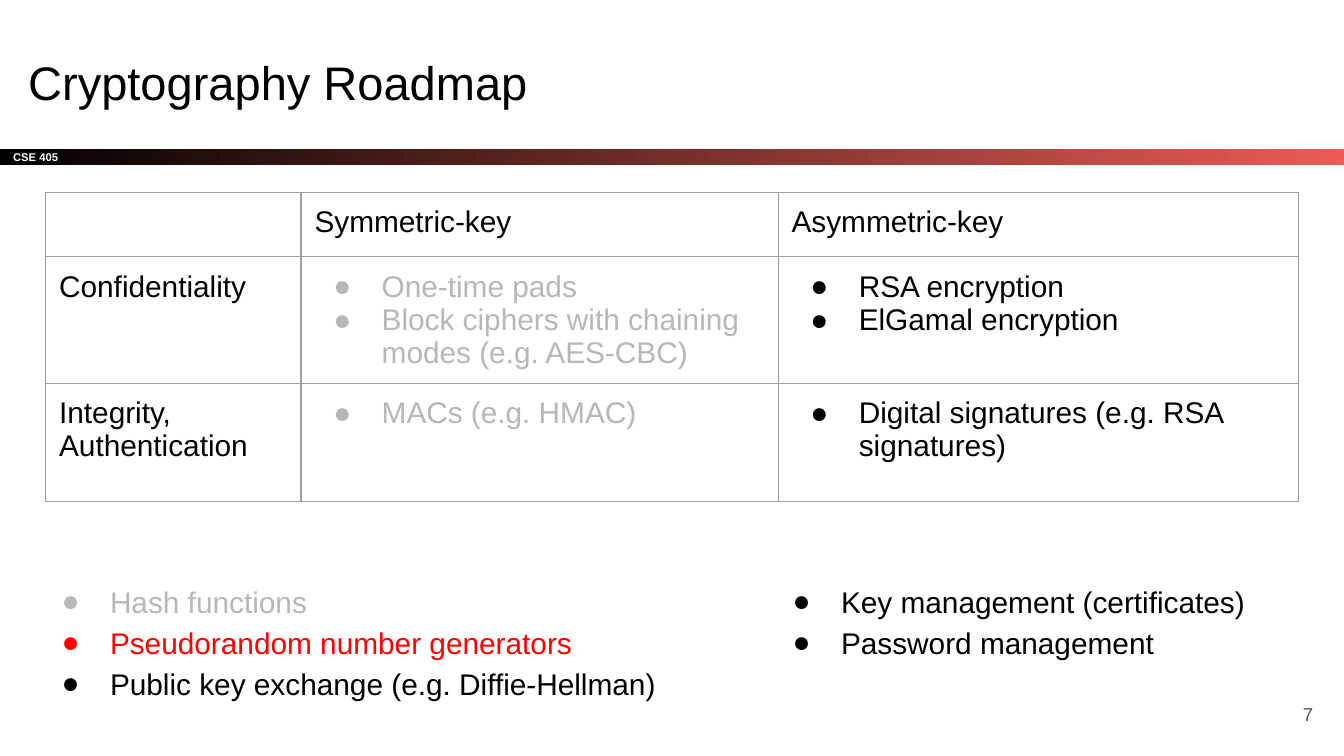
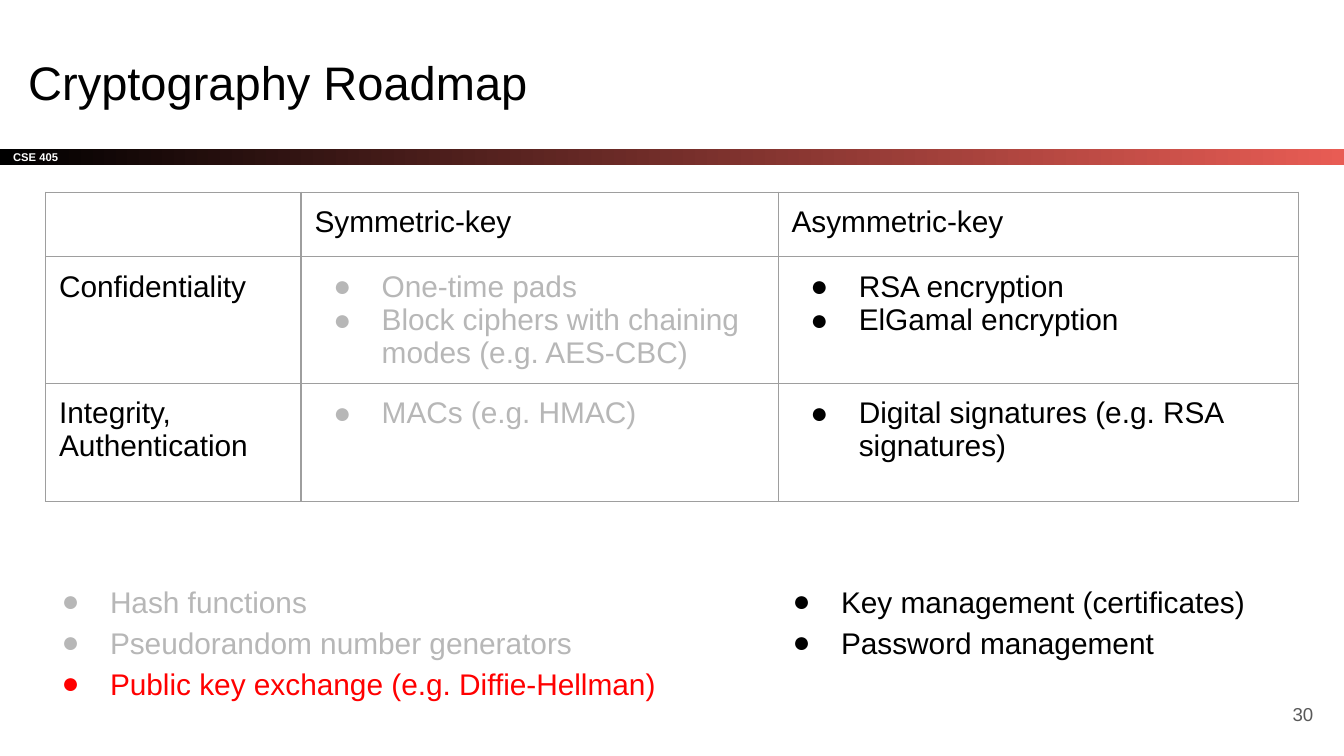
from lxml import etree
from pptx import Presentation
from pptx.dml.color import RGBColor
from pptx.enum.shapes import MSO_SHAPE
from pptx.enum.text import MSO_ANCHOR, PP_ALIGN
from pptx.oxml.ns import qn
from pptx.util import Inches, Pt

RECT = MSO_SHAPE.RECTANGLE
TOP, MIDDLE = MSO_ANCHOR.TOP, MSO_ANCHOR.MIDDLE
LEFT, RIGHT = PP_ALIGN.LEFT, PP_ALIGN.RIGHT
BLACK, WHITE, RED = "000000", "FFFFFF", "FF0000"
DONE, CORAL, PAGE, RULE = "B7B7B7", "E85C54", "595959", "9E9E9E"
FONT = "Arial"
PAD = Inches(0.1)

COLS = [1.9, 3.55, 3.87]
ROWS = [0.41, 0.88, 0.88]
GRID = [
    [[], ["Symmetric-key"], ["Asymmetric-key"]],
    [["Confidentiality"],
     ["One-time pads", "Block ciphers with chaining modes (e.g. AES-CBC)"],
     ["RSA encryption", "ElGamal encryption"]],
    [["Integrity,\nAuthentication"],
     ["MACs (e.g. HMAC)"],
     ["Digital signatures (e.g. RSA signatures)"]],
]
TOPICS = ["Hash functions", "Pseudorandom number generators",
          "Public key exchange (e.g. Diffie-Hellman)"]
LATER = ["Key management (certificates)", "Password management"]


def rgb(code):
    return RGBColor.from_string(code)


def write(frame, lines, size=16, bullet=False, align=LEFT, space=None, bold=False):
    """Fill a text frame with (text, colour) paragraphs."""
    for i, (text, color) in enumerate(lines):
        para = frame.add_paragraph() if i else frame.paragraphs[0]
        para.alignment = align
        if bullet:
            props = para._p.get_or_add_pPr()
            props.set("marL", str(Inches(0.5)))
            props.set("indent", str(Inches(-0.36)))
            tint = etree.SubElement(props, qn("a:buClr"))
            etree.SubElement(tint, qn("a:srgbClr"), val=color)
            etree.SubElement(props, qn("a:buSzPts"), val=str(size * 100))
            etree.SubElement(props, qn("a:buFont"), typeface=FONT)
            etree.SubElement(props, qn("a:buChar"), char="●")
        if space:
            para.line_spacing = space
        for j, part in enumerate(text.split("\n")):
            if j:
                para.add_line_break()
            run = para.add_run()
            run.text = part
            run.font.name = FONT
            run.font.size = Pt(size)
            run.font.bold = bold
            run.font.color.rgb = rgb(color)


deck = Presentation()
deck.slide_width = Inches(10)
deck.slide_height = deck.slide_width * 9 // 16

# Each slide: page number and the position of the current topic
for number, current in [("7", 1), ("30", 2)]:
    slide = deck.slides.add_slide(deck.slide_layouts[5])
    shapes = slide.shapes

    # Title and course band
    title = shapes.title
    title.left, title.top = Inches(0.11), Inches(0.3)
    title.width, title.height = Inches(9.32), Inches(0.63)
    title.text_frame.vertical_anchor = TOP
    write(title.text_frame, [("Cryptography Roadmap", BLACK)], 25.2)

    band = shapes.add_shape(RECT, 0, Inches(1.11), deck.slide_width, Inches(0.12))
    band.shadow.inherit = False
    band.line.fill.background()
    band.fill.gradient()
    band.fill.gradient_angle = 0
    for stop, place, color in zip(band.fill.gradient_stops, (0, 1), (BLACK, CORAL)):
        stop.position = place
        stop.color.rgb = rgb(color)
    band.text_frame.vertical_anchor = MIDDLE
    write(band.text_frame, [("CSE 405", WHITE)], 6, bold=True)

    # Table of schemes
    table = shapes.add_table(len(ROWS), len(COLS), Inches(0.34), Inches(1.43),
                             Inches(sum(COLS)), Inches(sum(ROWS))).table
    table.first_row = table.horz_banding = False
    for col, width in zip(table.columns, COLS):
        col.width = Inches(width)
    for r, row in enumerate(GRID):
        table.rows[r].height = Inches(ROWS[r])
        for c, texts in enumerate(row):
            cell = table.cell(r, c)
            cell.margin_left = cell.margin_right = PAD
            cell.margin_top = cell.margin_bottom = PAD
            props = cell._tc.get_or_add_tcPr()
            for side in "LRTB":
                edge = etree.SubElement(props, qn("a:ln" + side), w=str(Pt(0.75)))
                fill = etree.SubElement(edge, qn("a:solidFill"))
                etree.SubElement(fill, qn("a:srgbClr"), val=RULE)
            cell.fill.background()
            color = DONE if r and c == 1 else BLACK
            write(cell.text_frame, [(text, color) for text in texts],
                  bullet=r > 0 and c > 0)

    # The blank corner sets the height of the first row
    blank = table.cell(0, 0).text_frame.paragraphs[0]
    end = etree.SubElement(blank._p, qn("a:endParaRPr"), sz="1800")
    etree.SubElement(end, qn("a:latin"), typeface=FONT)

    # Topic lists and page number
    hues = [DONE] * current + [RED] + [BLACK] * (len(TOPICS) - current - 1)
    listed = {"bullet": True, "space": 1.15}
    for at, lines, style in [
        ((0.22, 4.2, 4.78, 1.28), list(zip(TOPICS, hues)), listed),
        ((5.66, 4.2, 3.77, 0.78), [(text, BLACK) for text in LATER], listed),
        ((9.27, 5.1, 0.6, 0.43), [(number, PAGE)], {"size": 10, "align": RIGHT}),
    ]:
        frame = shapes.add_textbox(*map(Inches, at)).text_frame
        frame.word_wrap = True
        frame.vertical_anchor = TOP if style is listed else MIDDLE
        write(frame, lines, **style)

    for shape in shapes:
        if shape.has_text_frame:
            frame = shape.text_frame
            frame.margin_left = frame.margin_right = PAD
            frame.margin_top = frame.margin_bottom = PAD

deck.save("out.pptx")
